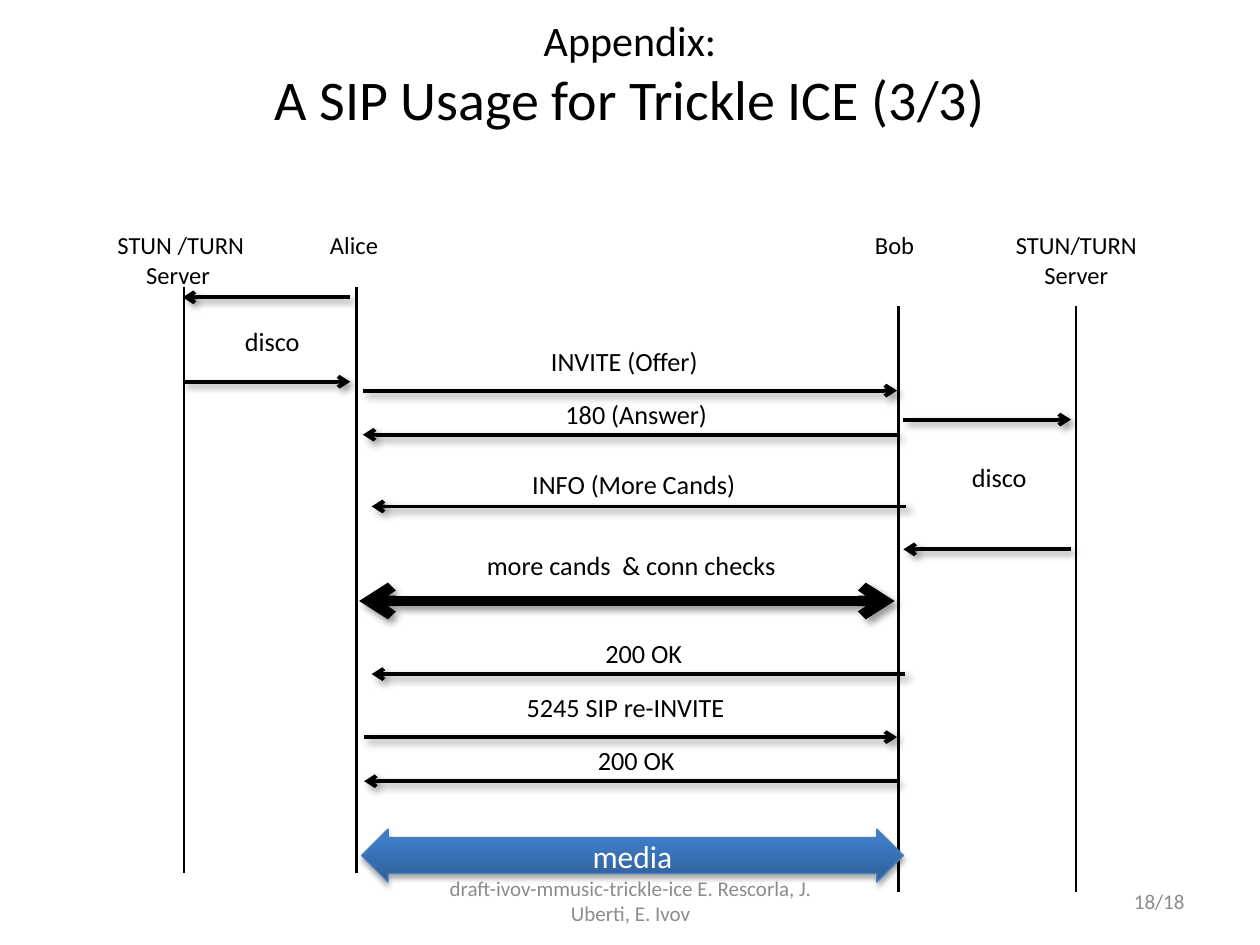
from dataclasses import dataclass

from lxml import etree
from pptx import Presentation
from pptx.dml.color import RGBColor
from pptx.enum.shapes import MSO_CONNECTOR, MSO_SHAPE
from pptx.enum.text import MSO_ANCHOR, PP_ALIGN
from pptx.oxml.ns import qn
from pptx.util import Inches, Pt

CENTER, RIGHT = PP_ALIGN.CENTER, PP_ALIGN.RIGHT
TOP, MIDDLE = MSO_ANCHOR.TOP, MSO_ANCHOR.MIDDLE
STRAIGHT = MSO_CONNECTOR.STRAIGHT
BOTH_WAYS = MSO_SHAPE.LEFT_RIGHT_ARROW


@dataclass(frozen=True)
class Theme:
    font: str = "Calibri"
    ink: str = "000000"
    gray: str = "8C8C8C"
    white: str = "FFFFFF"
    deep: str = "2F5F99"
    blue: str = "3D7CC7"
    edge: str = "4B7EBC"
    lead: int = 24
    head: int = 32
    actor: int = 14
    label: int = 15
    media: int = 18
    foot: int = 12


@dataclass(frozen=True)
class Actor:
    name: str
    left: float
    width: float
    height: float
    x: float
    top: float
    end: float


@dataclass(frozen=True)
class Label:
    text: str
    left: float
    top: float
    width: float


@dataclass(frozen=True)
class Arrow:
    start: float
    tip: float
    y: float
    weight: float = 2.25
    both: bool = False


THEME = Theme()

ACTORS = [
    Actor("STUN /TURN\nServer ", 0.67, 1.53, 0.5, 1.46, 2.28, 6.93),
    Actor("Alice", 2.29, 1.04, 0.33, 2.83, 2.28, 6.93),
    Actor("Bob", 6.58, 1.04, 0.33, 7.13, 2.43, 7.08),
    Actor("STUN/TURN \nServer ", 7.71, 1.71, 0.5, 8.54, 2.43, 7.08),
]

ARROWS = [
    Arrow(2.78, 1.45, 2.36),
    Arrow(1.45, 2.78, 3.03),
    Arrow(7.17, 8.5, 3.33),
    Arrow(8.5, 7.17, 4.36),
    Arrow(2.88, 7.12, 3.1),
    Arrow(7.12, 2.88, 3.45),
    Arrow(7.19, 2.95, 4.02),
    Arrow(2.85, 7.1, 4.77, 6, True),
    Arrow(7.18, 2.95, 5.35),
    Arrow(2.89, 7.12, 5.85),
    Arrow(7.12, 2.89, 6.2),
]

LABELS = [
    Label("disco", 1.25, 2.53, 1.82),
    Label("disco", 7.02, 3.61, 1.82),
    Label("INVITE (Offer)", 2, 2.69, 5.91),
    Label("180 (Answer)", 2.87, 3.11, 4.36),
    Label("INFO (More Cands)", 2.85, 3.67, 4.36),
    Label("more cands  & conn checks", 2.46, 4.31, 5.1),
    Label("200 OK", 2.93, 5.01, 4.36),
    Label("5245 SIP re-INVITE", 2.01, 5.44, 5.91),
    Label("200 OK", 2.87, 5.86, 4.36),
]


def rgb(code: str) -> RGBColor:
    return RGBColor.from_string(code)


def add_run(para, text: str, size: int, color: str) -> None:
    run = para.add_run()
    run.text = text
    run.font.name = THEME.font
    run.font.size = Pt(size)
    run.font.color.rgb = rgb(color)


def write(frame, text: str, size: int, color: str, align=CENTER, anchor=TOP) -> None:
    frame.word_wrap = True
    frame.vertical_anchor = anchor
    para = frame.paragraphs[0]
    para.alignment = align
    for i, line in enumerate(text.split("\n")):
        if i:
            para.add_line_break()
        add_run(para, line, size, color)


def add_text(slide, box: tuple, text: str, size: int, color: str = THEME.ink,
             align=CENTER, anchor=TOP) -> None:
    shape = slide.shapes.add_textbox(*map(Inches, box))
    write(shape.text_frame, text, size, color, align, anchor)


def add_shadow(props, blur: float, dist: float, angle: int, alpha: int) -> None:
    """Replace the theme shadow of a shape by an outer one."""
    for old in props.findall(qn("a:effectLst")):
        props.remove(old)
    effects = etree.SubElement(props, qn("a:effectLst"))
    outer = etree.SubElement(
        effects, qn("a:outerShdw"), blurRad=str(Pt(blur)), dist=str(Pt(dist)),
        dir=str(angle * 60000), rotWithShape="0")
    tint = etree.SubElement(outer, qn("a:srgbClr"), val=THEME.ink)
    etree.SubElement(tint, qn("a:alpha"), val=str(alpha * 1000))


def add_line(slide, x1: float, y1: float, x2: float, y2: float, weight: float):
    line = slide.shapes.add_connector(STRAIGHT, *map(Inches, (x1, y1, x2, y2)))
    line.line.color.rgb = rgb(THEME.ink)
    line.line.width = Pt(weight)
    return line


def draw_actor(slide, actor: Actor) -> None:
    line = add_line(slide, actor.x, actor.end, actor.x, actor.top, 1.5)
    etree.SubElement(line._element.spPr, qn("a:effectLst"))
    box = (actor.left, 1.78, actor.width, actor.height)
    add_text(slide, box, actor.name, THEME.actor)


def draw_arrow(slide, arrow: Arrow) -> None:
    line = add_line(slide, arrow.start, arrow.y, arrow.tip, arrow.y, arrow.weight)
    stroke = line.line._get_or_add_ln()
    for end in ("a:headEnd", "a:tailEnd") if arrow.both else ("a:tailEnd",):
        etree.SubElement(stroke, qn(end), type="arrow")
    add_shadow(line._element.spPr, 4, 3, 45, 40)


def draw_media(slide) -> None:
    shape = slide.shapes.add_shape(BOTH_WAYS, *map(Inches, (2.87, 6.58, 4.3, 0.42)))
    shape.adjustments[0] = 0.68
    shape.adjustments[1] = 0.5
    shape.fill.gradient()
    shape.fill.gradient_angle = 90
    stops = shape.fill.gradient_stops
    for stop, place, color in zip(stops, (0, 0.8), (THEME.deep, THEME.blue)):
        stop.position = place
        stop.color.rgb = rgb(color)
    shape.line.color.rgb = rgb(THEME.edge)
    shape.line.width = Pt(0.75)
    add_shadow(shape._element.spPr, 3.1, 1.8, 90, 35)
    write(shape.text_frame, "media", THEME.media, THEME.white, anchor=MIDDLE)


def main() -> None:
    deck = Presentation()
    deck.slide_width, deck.slide_height = Inches(10), Inches(7.5)
    slide = deck.slides.add_slide(deck.slide_layouts[5])

    # Title
    title = slide.shapes.title
    title.left, title.top, title.width, title.height = map(Inches, (0.5, 0.08, 9, 1))
    write(title.text_frame, "Appendix:", THEME.lead, THEME.ink, anchor=MIDDLE)
    para = title.text_frame.paragraphs[0]
    para.add_line_break()
    add_run(para, "A SIP Usage for Trickle ICE (3/3)", THEME.head, THEME.ink)

    # Call flow
    for actor in ACTORS:
        draw_actor(slide, actor)
    for arrow in ARROWS:
        draw_arrow(slide, arrow)
    for label in LABELS:
        box = (label.left, label.top, label.width, 0.35)
        add_text(slide, box, label.text, THEME.label)
    draw_media(slide)

    # Footer
    add_text(slide, (3.42, 6.95, 3.17, 0.4),
             "draft-ivov-mmusic-trickle-ice E. Rescorla, J. Uberti, E. Ivov",
             THEME.foot, THEME.gray, anchor=MIDDLE)
    add_text(slide, (7.17, 6.95, 2.33, 0.4), "18/18",
             THEME.foot, THEME.gray, RIGHT, MIDDLE)
    deck.save("out.pptx")


if __name__ == "__main__":
    main()
